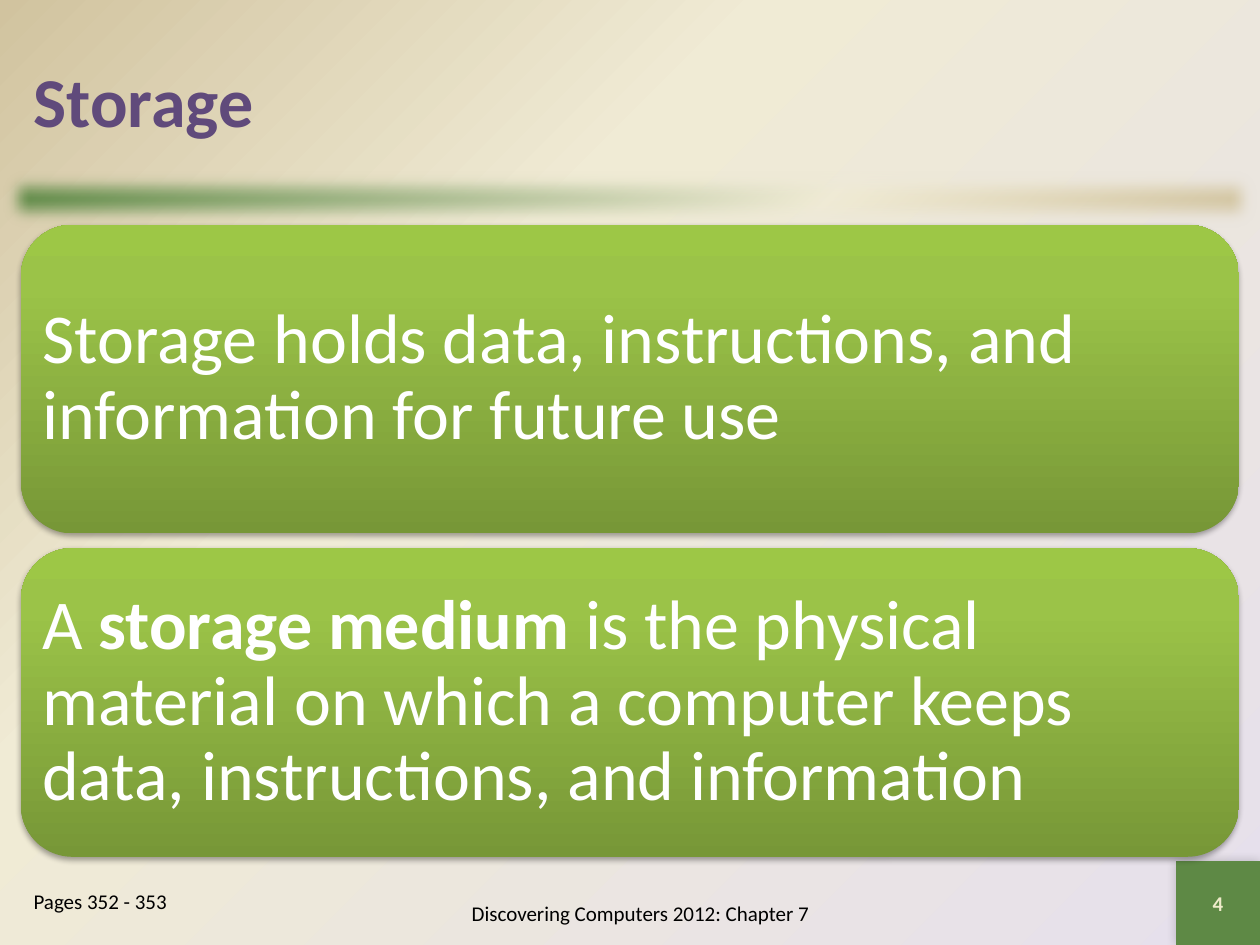
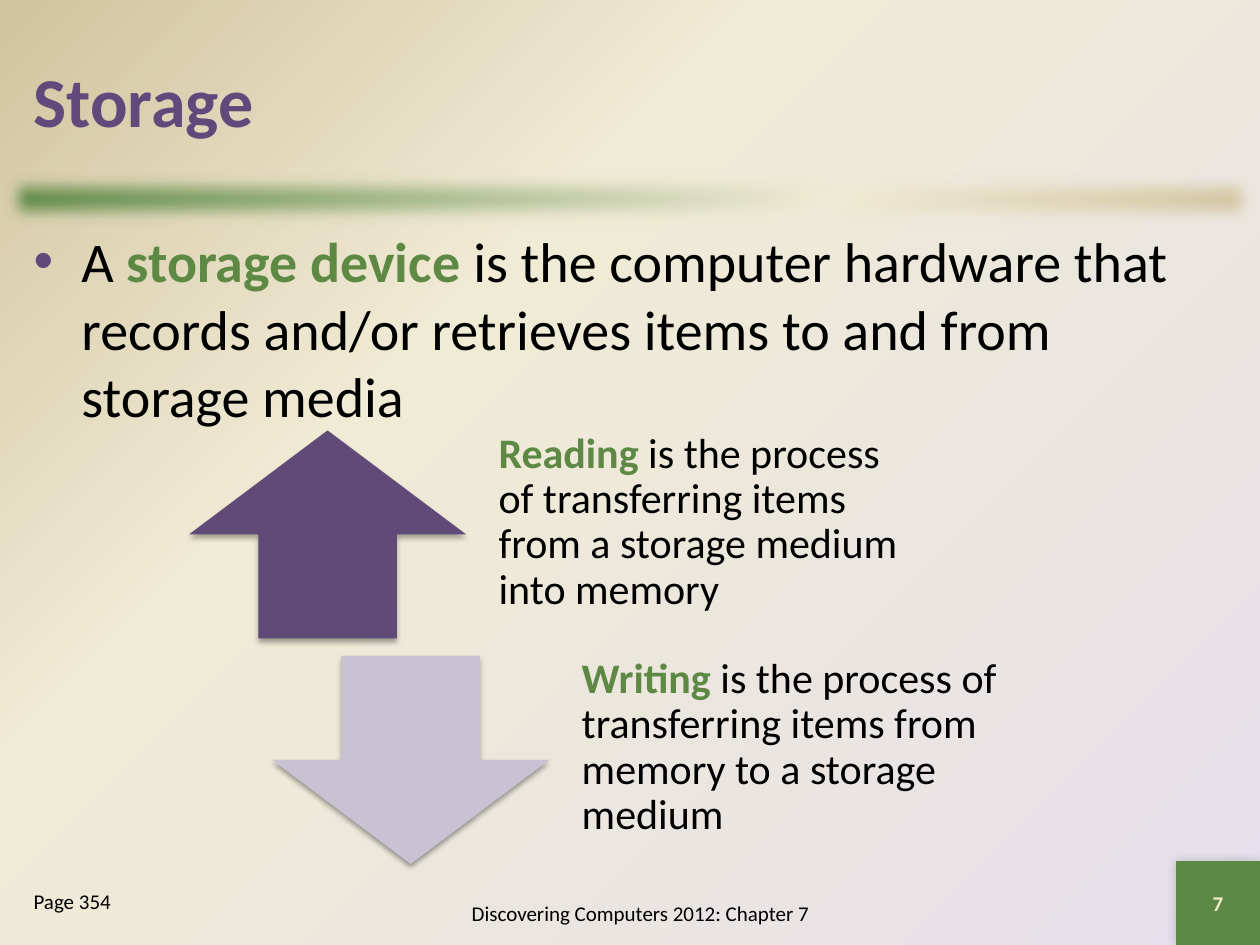
from typing import NamedTuple

from lxml.etree import SubElement
from pptx import Presentation
from pptx.dml.color import RGBColor
from pptx.enum.shapes import MSO_SHAPE
from pptx.enum.text import MSO_ANCHOR, MSO_AUTO_SIZE, PP_ALIGN
from pptx.oxml import parse_xml
from pptx.oxml.ns import nsdecls, qn
from pptx.util import Inches, Pt

FONT = "Calibri"
BLACK = RGBColor(0x00, 0x00, 0x00)
WHITE = RGBColor(0xFF, 0xFF, 0xFF)
PURPLE = RGBColor(0x60, 0x4A, 0x7B)
DARK_PURPLE = RGBColor(0x5F, 0x4A, 0x78)
PALE_PURPLE = RGBColor(0xC9, 0xC2, 0xD4)
LAVENDER = RGBColor(0xE6, 0xE0, 0xEC)
GREEN = RGBColor(0x5E, 0x89, 0x45)
CREAM = RGBColor(0xF0, 0xEB, 0xD5)
TAN = RGBColor(0xD1, 0xC3, 0x9F)
PALE_YELLOW = RGBColor(0xEE, 0xEB, 0xCA)
CARD_STOPS = [
    (0, RGBColor(0x77, 0x97, 0x37)),
    (80, RGBColor(0x9B, 0xC3, 0x48)),
    (100, RGBColor(0x9D, 0xC7, 0x46)),
]
OBJECT_SHADOW = (35, 3.1, 1.8, 90)
CORNER_SHADOW = (20, 6, 0, 225)
CORNER_FADE = ('<a:path path="circle"><a:fillToRect l="100000" t="100000" '
               'r="0" b="0"/></a:path>')
COLUMNS, ROWS = 60, 45
CELL = Inches(10) // COLUMNS


class Box(NamedTuple):
    """A rectangle in grid columns and rows."""

    left: float
    top: float
    width: float
    height: float

    def lengths(self):
        """Return the four sides as slide lengths."""
        return [round(side * CELL) for side in self]


TITLE_BOX = Box(1, 1, 58, 7.5)
BAND_BOX = Box(0, 8, COLUMNS, 3)
CORNER_BOX = Box(COLUMNS - 4, ROWS - 4, 4, 4)
FOOTER_BOX = Box(18, 42, 25, 3)
PAGES_BOX = Box(1, 42, 11, 3)
BODY_BOX = Box(1, 10.5, 58, 30.5)
CARDS_BOX = Box(1, 10.7, 58, 30.1)
ARROWS_BOX = Box(9, 20.5, 40, 20.64)


def linear(degrees):
    """Return the direction of a straight gradient."""
    return f'<a:lin ang="{degrees * 60000}" scaled="1"/>'


def set_gradient(properties, stops, direction):
    """Replace a solid fill by a gradient."""
    stop_xml = "".join(
        f'<a:gs pos="{position * 1000}"><a:srgbClr val="{color}"/></a:gs>'
        for position, color in stops)
    gradient = parse_xml(
        f'<a:gradFill {nsdecls("a")} rotWithShape="1"><a:gsLst>{stop_xml}'
        f'</a:gsLst>{direction}</a:gradFill>')
    solid = properties.find(qn("a:solidFill"))
    properties.replace(solid, gradient)


def add_shadow(shape, opacity, blur, distance, degrees):
    """Give a shape a black outer shadow."""
    effects = shape.element.spPr.find(qn("a:effectLst"))
    shadow = SubElement(
        effects, qn("a:outerShdw"), blurRad=str(Pt(blur)),
        dist=str(Pt(distance)), dir=str(degrees * 60000),
        algn="ctr", rotWithShape="0")
    color = SubElement(shadow, qn("a:srgbClr"), val=str(BLACK))
    SubElement(color, qn("a:alpha"), val=str(opacity * 1000))


def add_plain_shape(slide, kind, box, color):
    """Add a filled shape without line or shadow."""
    shape = slide.shapes.add_shape(kind, *box.lengths())
    shape.fill.solid()
    shape.fill.fore_color.rgb = color
    shape.line.fill.background()
    shape.shadow.inherit = False
    return shape


def write(shape, runs, size, color, align=PP_ALIGN.LEFT,
          anchor=MSO_ANCHOR.MIDDLE, line_spacing=1.0):
    """Fill a shape with one paragraph; a run is text, or text and its bold colour."""
    frame = shape.text_frame
    frame.word_wrap = True
    frame.auto_size = MSO_AUTO_SIZE.NONE
    frame.vertical_anchor = anchor
    paragraph = frame.paragraphs[0]
    paragraph.alignment = align
    paragraph.space_before = Pt(0)
    paragraph.line_spacing = line_spacing
    for item in runs:
        text, bold_color = (item, None) if isinstance(item, str) else item
        run = paragraph.add_run()
        run.text = text
        run.font.name = FONT
        run.font.size = Pt(size)
        run.font.bold = bold_color is not None
        run.font.color.rgb = bold_color or color
    return paragraph


def place(shape, box):
    """Move a placeholder into a box."""
    shape.left, shape.top, shape.width, shape.height = box.lengths()
    return shape


def set_bullet(paragraph, indent, color=None):
    """Set the hanging indent and a coloured bullet, or no bullet."""
    properties = paragraph._p.get_or_add_pPr()
    properties.set("marL", str(Inches(indent)))
    properties.set("indent", str(-Inches(indent)))
    if color is None:
        SubElement(properties, qn("a:buNone"))
        return
    bullet_color = SubElement(properties, qn("a:buClr"))
    SubElement(bullet_color, qn("a:srgbClr"), val=str(color))
    SubElement(properties, qn("a:buFont"), typeface="Arial")
    SubElement(properties, qn("a:buChar"), char="•")


def add_band(slide, box):
    """Add the soft coloured band below the title."""
    band = add_plain_shape(slide, MSO_SHAPE.RECTANGLE, box, GREEN)
    set_gradient(band.element.spPr, [(0, GREEN), (65, CREAM), (100, TAN)], linear(45))
    effects = band.element.spPr.find(qn("a:effectLst"))
    SubElement(effects, qn("a:softEdge"), rad=str(Pt(10)))


def add_frame(presentation, layout_index, number, pages):
    """Add a slide with background, title, band, footer and page reference."""
    slide = presentation.slides.add_slide(presentation.slide_layouts[layout_index])
    slide.background.fill.solid()
    set_gradient(slide.element.find(".//" + qn("p:bgPr")),
                 [(0, LAVENDER), (65, CREAM), (100, TAN)], CORNER_FADE)
    add_band(slide, BAND_BOX)
    corner = add_plain_shape(slide, MSO_SHAPE.RECTANGLE, CORNER_BOX, GREEN)
    add_shadow(corner, *CORNER_SHADOW)
    write(corner, [(str(number), PALE_YELLOW)], 12, PALE_YELLOW, PP_ALIGN.CENTER)
    write(place(slide.shapes.title, TITLE_BOX), [("Storage", PURPLE)], 40, PURPLE)
    footer = slide.shapes.add_textbox(*FOOTER_BOX.lengths())
    write(footer, ["Discovering Computers 2012: Chapter 7"], 12, BLACK, PP_ALIGN.CENTER)
    reference = place(slide.placeholders[1], PAGES_BOX)
    set_bullet(write(reference, [pages], 12, BLACK, anchor=MSO_ANCHOR.TOP), 0)
    return slide


def add_cards(slide, box, statements, gap=0.7):
    """Stack equal rounded cards in a box."""
    height = (box.height - gap * (len(statements) - 1)) / len(statements)
    for index, runs in enumerate(statements):
        card_box = Box(box.left, box.top + index * (height + gap), box.width, height)
        card = add_plain_shape(slide, MSO_SHAPE.ROUNDED_RECTANGLE, card_box, GREEN)
        set_gradient(card.element.spPr, CARD_STOPS, linear(270))
        add_shadow(card, *OBJECT_SHADOW)
        card.text_frame.margin_left = card.text_frame.margin_right = Inches(0.05)
        write(card, runs, 40, WHITE, line_spacing=0.9)


def add_definition(slide, box, runs):
    """Add the bulleted definition."""
    body = place(slide.placeholders[2], box)
    set_bullet(write(body, runs, 32, BLACK, anchor=MSO_ANCHOR.TOP), 0.38, PURPLE)


def add_arrows(slide, box, processes):
    """Stagger arrows down a box, each with its text to the right."""
    height = box.height * 0.48
    width = box.width * 0.33
    row_step = box.height - height
    for index, (kind, color, runs) in enumerate(processes):
        left = box.left + index * width * 0.3
        top = box.top + index * row_step
        arrow = add_plain_shape(slide, kind, Box(left, top, width, height), color)
        add_shadow(arrow, *OBJECT_SHADOW)
        text_box = Box(left + box.width * 0.34, top, box.width * 0.56, height)
        label = slide.shapes.add_textbox(*text_box.lengths())
        frame = label.text_frame
        frame.margin_left = frame.margin_right = frame.margin_bottom = Inches(0.19)
        frame.margin_top = 0
        write(label, runs, 24, BLACK, line_spacing=0.9)


def main():
    """Build the two storage slides."""
    presentation = Presentation()
    presentation.slide_width = CELL * COLUMNS
    presentation.slide_height = CELL * ROWS

    medium_slide = add_frame(presentation, 1, 4, "Pages 352 - 353")
    add_cards(medium_slide, CARDS_BOX, [
        ["Storage holds data, instructions, and information for future use"],
        ["A ", ("storage medium", WHITE),
         " is the physical material on which a computer keeps data, "
         "instructions, and information"],
    ])

    device_slide = add_frame(presentation, 3, 7, "Page 354")
    add_definition(device_slide, BODY_BOX, [
        "A ", ("storage device ", GREEN),
        "is the computer hardware that records and/or retrieves items "
        "to and from storage media",
    ])
    add_arrows(device_slide, ARROWS_BOX, [
        (MSO_SHAPE.UP_ARROW, DARK_PURPLE,
         [("Reading", GREEN),
          " is the process of transferring items from a storage medium into memory"]),
        (MSO_SHAPE.DOWN_ARROW, PALE_PURPLE,
         [("Writing", GREEN),
          " is the process of transferring items from memory to a storage medium"]),
    ])
    presentation.save("out.pptx")


if __name__ == "__main__":
    main()
